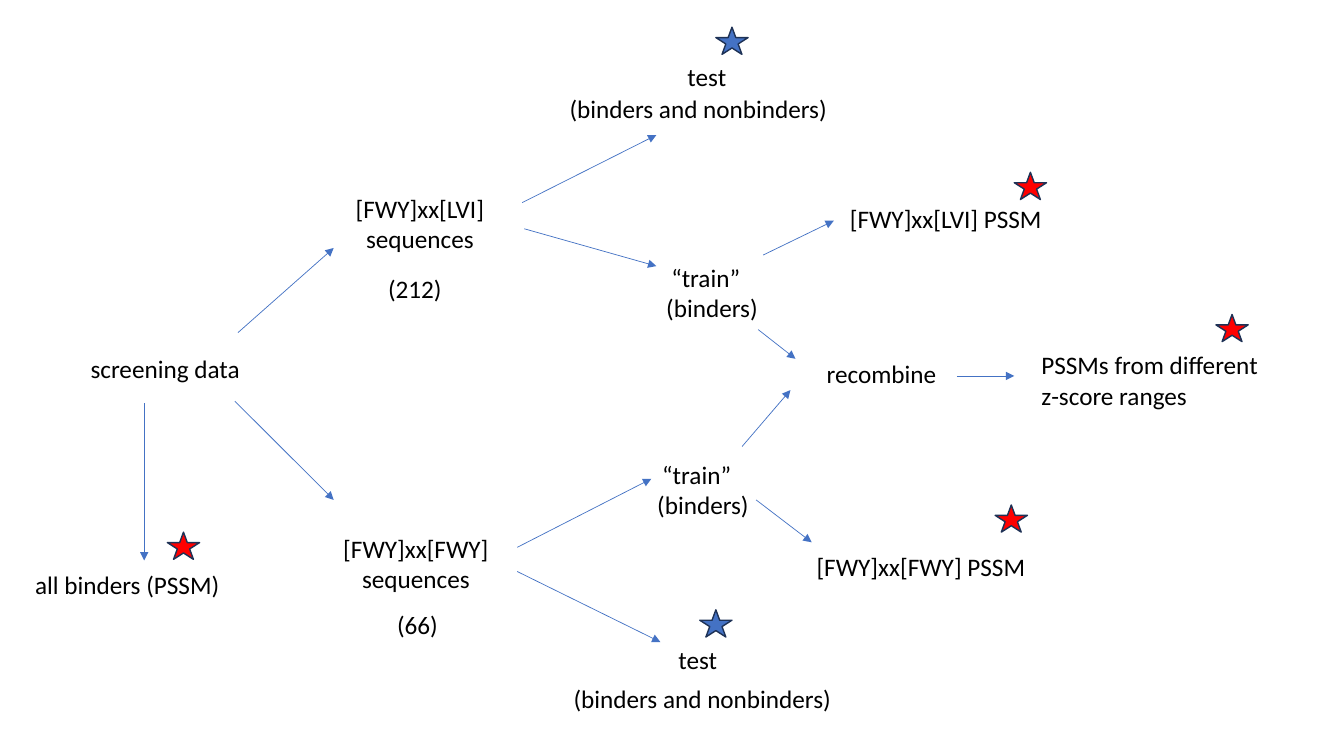
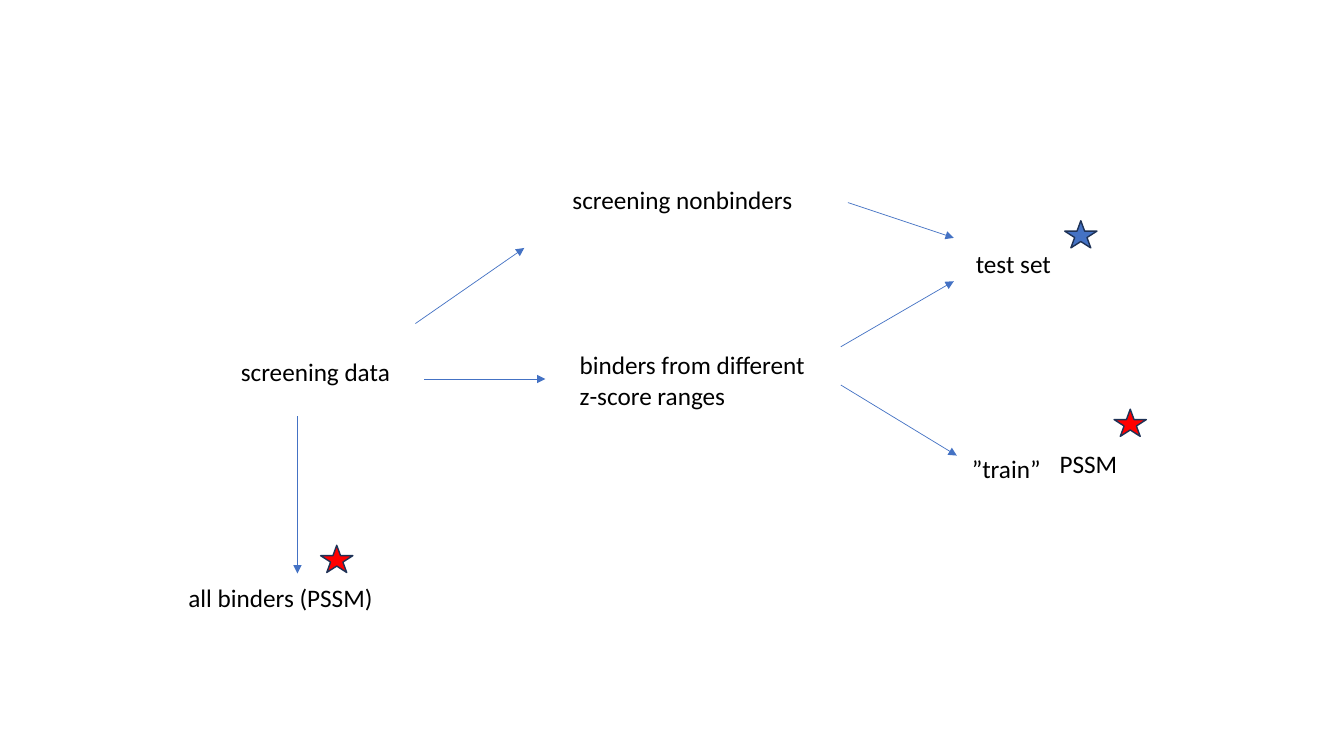
from pptx import Presentation
from pptx.dml.color import RGBColor
from pptx.enum.shapes import MSO_CONNECTOR, MSO_SHAPE
from pptx.enum.text import MSO_AUTO_SIZE, PP_ALIGN
from pptx.oxml.ns import qn
from pptx.util import Inches, Pt
from lxml.etree import SubElement

BLUE = "4472C4"
RED = "FF0000"
EDGE = "1E3256"
BLACK = "000000"
FONT = "Calibri"


def paint(part, color):
    part.rgb = RGBColor.from_string(color)


def fill(part, color):
    part.solid()
    paint(part.fore_color, color)


def text(slide, words, x, y, w, size=18, color=BLACK, align=None, wrap=False):
    lines = words.split("\n")
    high = 0.4 + 0.31 * (len(lines) - 1)
    box = slide.shapes.add_textbox(Inches(x), Inches(y), Inches(w), Inches(high))
    frame = box.text_frame
    frame.word_wrap = wrap
    frame.auto_size = MSO_AUTO_SIZE.SHAPE_TO_FIT_TEXT
    frame.text = words
    for para in frame.paragraphs:
        para.alignment = align
        for run in para.runs:
            run.font.name = FONT
            run.font.size = Pt(size)
            paint(run.font.color, color)


def arrow(slide, x1, y1, x2, y2):
    link = slide.shapes.add_connector(
        MSO_CONNECTOR.STRAIGHT, Inches(x1), Inches(y1), Inches(x2), Inches(y2))
    link.line.width = Pt(0.5)
    fill(link.line.fill, BLUE)
    props = link.element.spPr
    SubElement(props.find(qn("a:ln")), qn("a:tailEnd"), type="triangle")
    SubElement(props, qn("a:effectLst"))


def star(slide, x, y, color):
    mark = slide.shapes.add_shape(
        MSO_SHAPE.STAR_5_POINT, Inches(x), Inches(y), Inches(0.32), Inches(0.27))
    mark.shadow.inherit = False
    fill(mark.fill, color)
    fill(mark.line.fill, EDGE)
    mark.line.width = Pt(1)


def result(slide, words, x, y, w, dx, dy, color=RED, **form):
    text(slide, words, x, y, w, **form)
    star(slide, x + dx, y + dy, color)


def pool(slide, x, y):
    arrow(slide, x + 1.18, y - 1.6, x + 1.18, y - 0.04)
    result(slide, "all binders (PSSM)", x, y, 2.22, 1.41, -0.32)


def motif(slide, name, count, x, y, w, dx, dy, wide):
    text(slide, f"{name}\nsequences", x, y, w, align=PP_ALIGN.CENTER)
    text(slide, count, x + dx, y + dy, wide)


def train(slide, x, y):
    text(slide, "“train”", x, y, 0.97)
    text(slide, "(binders)", x - 0.05, y + 0.3, 1.17)


def test(slide, x, y, mark, dx, dy):
    result(slide, "test", x, y, 0.62, mark, -0.29, BLUE)
    text(slide, "(binders and nonbinders)", x + dx, y + dy, 3.01)


def motifs(slide):
    text(slide, "screening data", 0.8, 3.46, 1.86)
    pool(slide, 0.25, 5.6)
    motif(slide, "[FWY]xx[LVI]", "(212)", 3.39, 1.87, 1.55, 0.36, 0.79, 0.75)
    motif(slide, "[FWY]xx[FWY]", "(66)", 3.25, 5.24, 1.75, 0.59, 0.76, 0.61)
    test(slide, 6.72, 0.56, 0.38, -1.17, 0.32)
    test(slide, 6.63, 6.34, 0.31, -1.04, 0.39)
    train(slide, 6.56, 2.55)
    train(slide, 6.47, 4.51)
    text(slide, "recombine", 8.1, 3.51, 1.4)
    result(slide, "PSSMs from different\nz-score ranges", 10.23, 3.42, 2.57, 1.83, -0.3)
    result(slide, "[FWY]xx[LVI] PSSM", 8.33, 1.97, 2.35, 1.73, -0.26, wrap=True)
    result(slide, "[FWY]xx[FWY] PSSM", 8, 5.42, 2.81, 1.87, -0.41, wrap=True)
    for ends in (
        (2.36, 3.3, 3.31, 2.46), (2.33, 3.98, 3.31, 4.96),
        (5.18, 2.01, 6.51, 1.34), (5.2, 2.27, 6.51, 2.64),
        (5.13, 5.43, 6.46, 4.75), (5.13, 5.67, 6.55, 6.37),
        (7.57, 2.53, 8.27, 2.19), (7.52, 3.27, 7.89, 3.56),
        (7.36, 4.43, 7.84, 3.87), (7.5, 4.96, 8.05, 5.38),
        (9.49, 3.73, 10.06, 3.73),
    ):
        arrow(slide, *ends)


def ranges(slide):
    text(slide, "screening data", 2.29, 3.49, 1.86)
    pool(slide, 1.77, 5.73)
    text(slide, "screening nonbinders", 5.58, 1.78, 2.63)
    text(slide, "binders from different\nz-score ranges", 5.65, 3.42, 2.65)
    result(slide, "test set", 9.58, 2.41, 1.02, 0.98, -0.22, BLUE)
    text(slide, "”train”", 9.54, 4.45, 0.97)
    result(slide, "PSSM", 10.41, 4.4, 0.85, 0.64, -0.34)
    for ends in (
        (4.12, 3.21, 5.2, 2.46), (4.21, 3.76, 5.41, 3.76),
        (8.41, 2.01, 9.46, 2.36), (8.34, 3.44, 9.46, 2.79),
        (8.34, 3.82, 9.49, 4.52),
    ):
        arrow(slide, *ends)


def main():
    deck = Presentation()
    deck.slide_width = Inches(13.33)
    deck.slide_height = Inches(7.5)
    for draw in (motifs, ranges):
        draw(deck.slides.add_slide(deck.slide_layouts[6]))
    deck.save("out.pptx")


if __name__ == "__main__":
    main()
